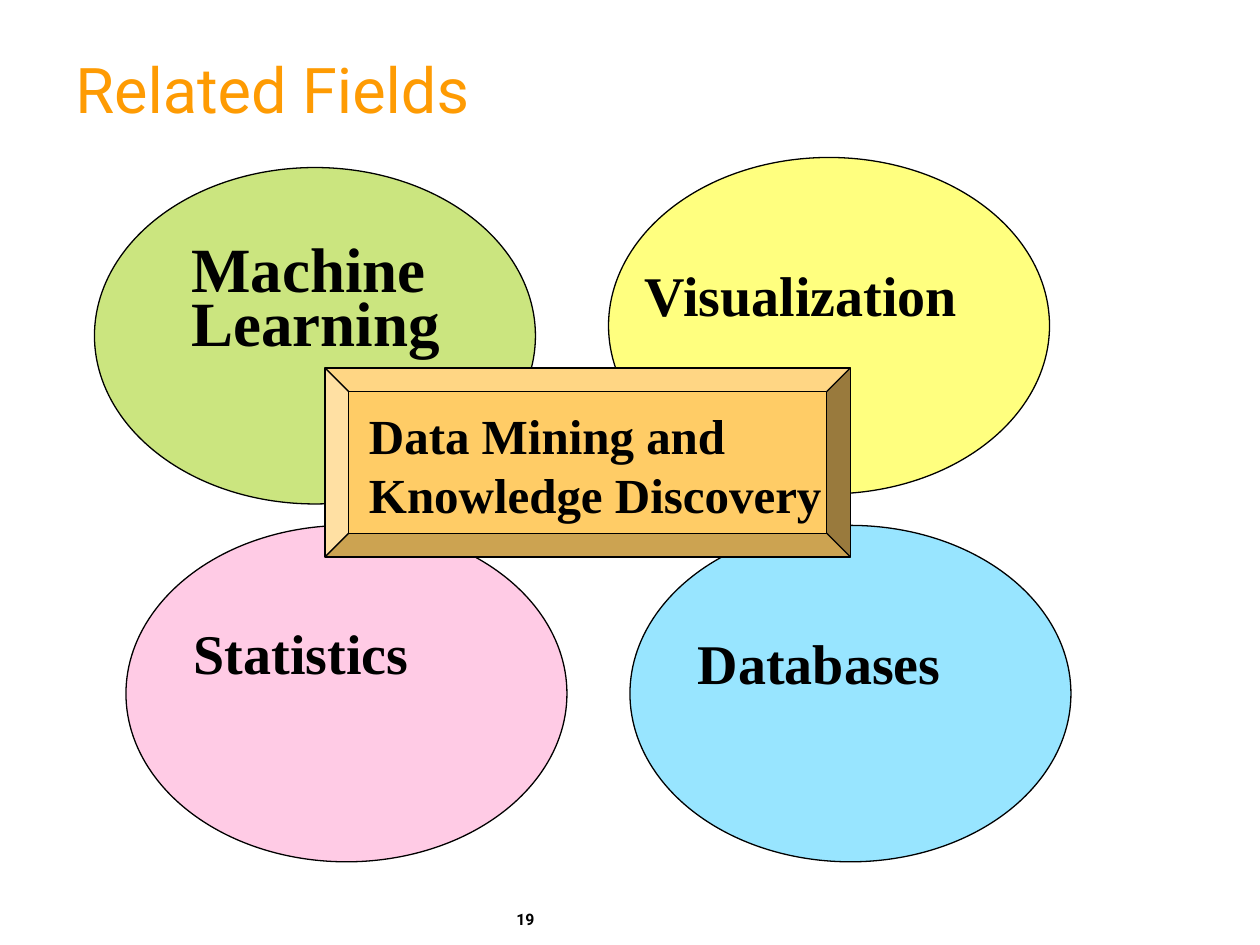
from lxml.etree import SubElement
from pptx import Presentation
from pptx.dml.color import RGBColor
from pptx.enum.shapes import MSO_SHAPE
from pptx.enum.text import MSO_ANCHOR
from pptx.oxml.ns import qn
from pptx.util import Inches, Pt

HUES = {
    "blue": "33CCFF",
    "pink": "FF99CC",
    "yellow": "FFFF00",
    "green": "99CC00",
    "gold": "FFCC66",
    "orange": "FE9B03",
    "black": "000000",
}
SERIF = "Times New Roman"
SANS = "Roboto"

deck = Presentation()
deck.slide_width = Inches(10)
deck.slide_height = Inches(7.5)
slide = deck.slides.add_slide(deck.slide_layouts[6])


def add_form(kind, box, hue):
    form = slide.shapes.add_shape(kind, *[Inches(n) for n in box])
    form.shadow.inherit = False
    form.fill.solid()
    form.fill.fore_color.rgb = RGBColor.from_string(HUES[hue])
    form.line.color.rgb = RGBColor.from_string(HUES["black"])
    form.line.width = Pt(0.75)
    return form


def add_text(box, lines, size, face=SERIF, hue="black", bold=True, space=None, gap=0, wrap=True):
    frame = slide.shapes.add_textbox(*[Inches(n) for n in box]).text_frame
    frame.word_wrap = wrap
    for i, line in enumerate(lines):
        para = frame.paragraphs[0] if i == 0 else frame.add_paragraph()
        para.line_spacing = space
        if i:
            para.space_before = Pt(gap)
        run = para.add_run()
        run.text = line
        run.font.size = Pt(size)
        run.font.name = face
        run.font.bold = bold
        run.font.color.rgb = RGBColor.from_string(HUES[hue])
    return frame


ovals = [
    (5, 4.17, "blue"),
    (1, 4.17, "pink"),
    (4.83, 1.25, "yellow"),
    (0.75, 1.33, "green"),
]
for left, top, hue in ovals:
    oval = add_form(MSO_SHAPE.OVAL, (left, top, 3.5, 2.67), hue)
    tint = oval.fill._xPr.find(qn("a:solidFill"))[0]
    SubElement(tint, qn("a:alpha")).set("val", "50000")

plaque = add_form(MSO_SHAPE.BEVEL, (2.58, 2.92, 4.17, 1.5), "gold")
plaque.adjustments[0] = 0.125

title = add_text((0.5, 0.25, 9.08, 1), ["Related Fields"], 36, SANS, "orange", False, 0.85)
title.vertical_anchor = MSO_ANCHOR.MIDDLE

fields = [
    (1.44, 4.92, 2.53, "Statistics"),
    (5.44, 5, 2.76, "Databases"),
    (5.02, 2.08, 3.32, "Visualization"),
]
for left, top, width, name in fields:
    add_text((left, top, width, 0.58), [name], 32, space=0.9)

add_text((1.42, 2.08, 2.58, 0.77), ["Machine", "Learning"], 36, space=0.4, gap=13.5)
add_text((2.83, 3.17, 3.79, 1.04), ["Data Mining and", "Knowledge Discovery"], 28, wrap=False)
add_text((4, 7.17, 1.02, 0.33), ["19"], 9, SANS)

deck.save("out.pptx")
